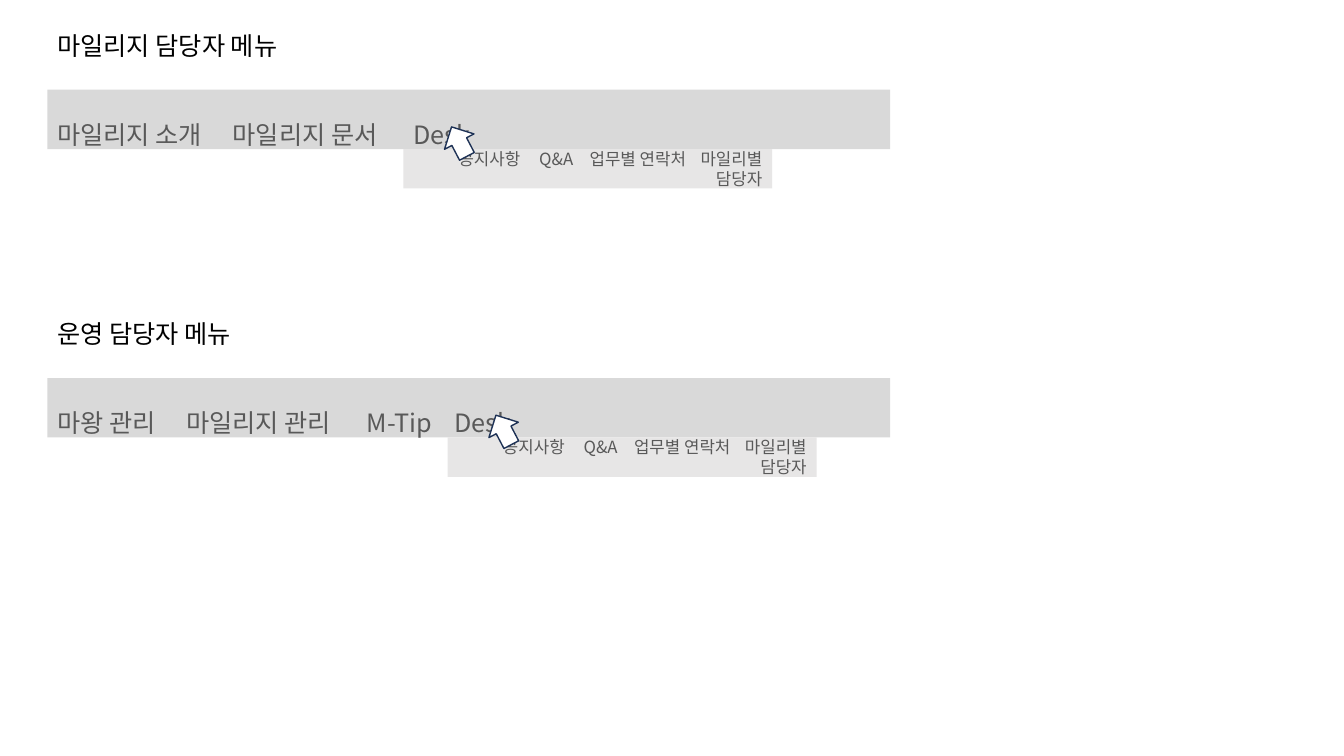
from dataclasses import dataclass

from lxml.etree import SubElement
from pptx import Presentation
from pptx.dml.color import RGBColor
from pptx.enum.shapes import MSO_SHAPE as Preset
from pptx.enum.text import MSO_ANCHOR as Anchor, PP_ALIGN as Align
from pptx.oxml.ns import qn
from pptx.shapes.autoshape import Shape
from pptx.slide import Slide
from pptx.util import Emu, Pt

EMU_PER_PX = 9144


@dataclass(frozen=True)
class Theme:
    font: str = "Noto Sans CJK KR"
    heading_ink: str = "000000"
    menu_ink: str = "595959"
    bar_fill: str = "D9D9D9"
    submenu_fill: str = "E7E6E6"
    cursor_fill: str = "FFFFFF"
    cursor_line: str = "1E3256"
    menu_size: int = 18
    submenu_size: int = 12


@dataclass(frozen=True)
class Menu:
    heading: str
    items: tuple[str, ...]
    stops: tuple[int, ...]
    top: int
    submenu_left: int


THEME = Theme()
LEFT = 47
SUBMENU_ITEMS = ("공지사항", "Q&A", "업무별 연락처", "마일리별 담당자")
SUBMENU_STOPS = (80, 130, 240)
MENUS = (
    Menu("마일리지 담당자 메뉴", ("마일리지 소개", "마일리지 문서", "Desk"),
         (174, 353), 89, 400),
    Menu("운영 담당자 메뉴", ("마왕 관리", "마일리지 관리", "M-Tip", "Desk"),
         (128, 307, 394), 375, 444),
)


def px(length: int) -> Emu:
    return Emu(length * EMU_PER_PX)


def write(shape: Shape, text: str, *, size: int, ink: str,
          align: Align = Align.LEFT, anchor: Anchor = Anchor.TOP,
          inset_top: int = 5, stops: tuple[int, ...] = ()) -> None:
    frame = shape.text_frame
    frame.word_wrap = True
    frame.vertical_anchor = anchor
    frame.margin_top = px(inset_top)
    paragraph = frame.paragraphs[0]
    paragraph.alignment = align
    if stops:
        tab_list = SubElement(paragraph._p.get_or_add_pPr(), qn("a:tabLst"))
        for stop in stops:
            SubElement(tab_list, qn("a:tab"), pos=str(px(stop)), algn="l")
    run = paragraph.add_run()
    run.text = text
    run.font.size = Pt(size)
    run.font.name = THEME.font
    run.font.color.rgb = RGBColor.from_string(ink)
    SubElement(run._r.get_or_add_rPr(), qn("a:ea"), typeface=THEME.font)


def add_block(slide: Slide, preset: Preset, left: int, top: int,
              width: int, height: int, fill: str) -> Shape:
    block = slide.shapes.add_shape(
        preset, px(left), px(top), px(width), px(height))
    block.shadow.inherit = False
    block.fill.solid()
    block.fill.fore_color.rgb = RGBColor.from_string(fill)
    block.line.fill.background()
    return block


def draw_menu(slide: Slide, menu: Menu) -> None:
    heading = slide.shapes.add_textbox(
        px(LEFT), px(menu.top - 64), px(323), px(40))
    write(heading, menu.heading, size=THEME.menu_size, ink=THEME.heading_ink)

    bar = add_block(slide, Preset.RECTANGLE, LEFT, menu.top, 836, 59,
                    THEME.bar_fill)
    write(bar, "\t".join(menu.items), size=THEME.menu_size,
          ink=THEME.menu_ink, inset_top=29, stops=menu.stops)

    submenu = add_block(slide, Preset.RECTANGLE, menu.submenu_left,
                        menu.top + 59, 366, 39, THEME.submenu_fill)
    write(submenu, "\t".join(SUBMENU_ITEMS), size=THEME.submenu_size,
          ink=THEME.menu_ink, align=Align.RIGHT, anchor=Anchor.MIDDLE,
          stops=SUBMENU_STOPS)

    cursor = add_block(slide, Preset.UP_ARROW, menu.submenu_left + 39,
                       menu.top + 35, 33, 33, THEME.cursor_fill)
    cursor.rotation = 332.4
    cursor.line.color.rgb = RGBColor.from_string(THEME.cursor_line)
    cursor.line.width = Pt(1)


def main() -> None:
    deck = Presentation()
    deck.slide_width, deck.slide_height = px(1333), px(750)
    slide = deck.slides.add_slide(deck.slide_layouts[6])
    for menu in MENUS:
        draw_menu(slide, menu)
    deck.save("out.pptx")


if __name__ == "__main__":
    main()
